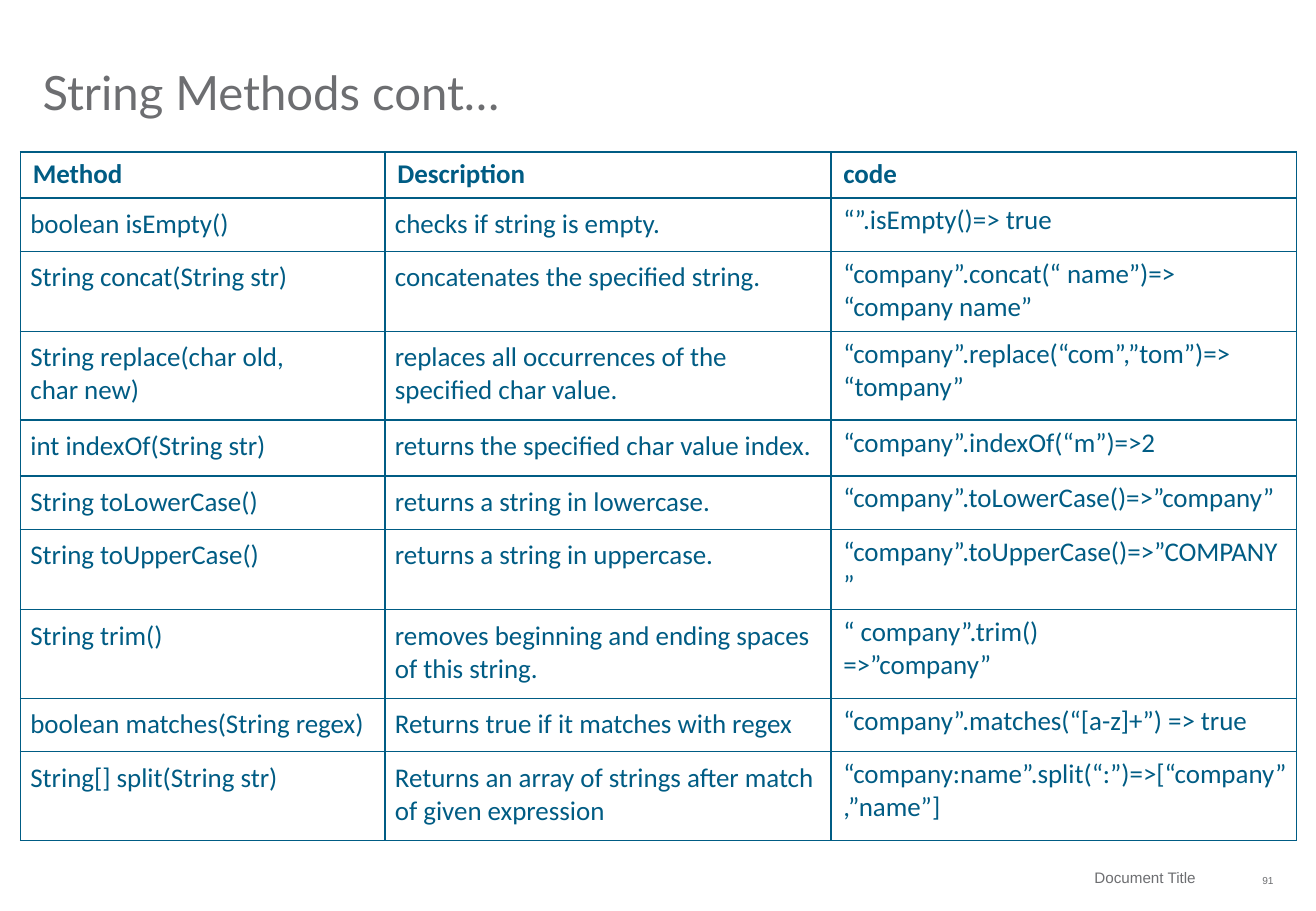
from dataclasses import dataclass

from lxml import etree
from pptx import Presentation
from pptx.dml.color import RGBColor
from pptx.enum.text import MSO_ANCHOR, PP_ALIGN
from pptx.oxml.ns import qn
from pptx.util import Inches, Pt

LEFT, RIGHT = PP_ALIGN.LEFT, PP_ALIGN.RIGHT
TOP, MIDDLE, BOTTOM = MSO_ANCHOR.TOP, MSO_ANCHOR.MIDDLE, MSO_ANCHOR.BOTTOM


@dataclass(frozen=True)
class Theme:
    grey: str = "6D6E71"
    teal: str = "005C84"
    white: str = "FFFFFF"
    title_font: str = "Lato"
    table_font: str = "Calibri"
    footer_font: str = "Arial"
    title_size: int = 28
    table_size: int = 16
    footer_size: int = 9
    number_size: int = 6
    border_width: int = 1


THEME = Theme()


def write(text_frame, text, font, size, color, bold=False, align=LEFT,
          anchor=TOP, margins=(0, 0, 0, 0), line_spacing=None):
    """Fill a text frame, one paragraph per line; margins are left, top, right, bottom."""
    text_frame.word_wrap = True
    text_frame.vertical_anchor = anchor
    (text_frame.margin_left, text_frame.margin_top,
     text_frame.margin_right, text_frame.margin_bottom) = map(Inches, margins)
    text_frame.text = text
    for paragraph in text_frame.paragraphs:
        paragraph.alignment = align
        paragraph.line_spacing = line_spacing
        paragraph.font.name = font
        paragraph.font.size = Pt(size)
        paragraph.font.bold = bold
        paragraph.font.color.rgb = RGBColor.from_string(color)


def add_borders(cell, color, width):
    """Draw a solid line on all four sides of a table cell."""
    properties = cell._tc.get_or_add_tcPr()
    for side in ("a:lnL", "a:lnR", "a:lnT", "a:lnB"):
        line = etree.SubElement(properties, qn(side), w=str(Pt(width)))
        fill = etree.SubElement(line, qn("a:solidFill"))
        etree.SubElement(fill, qn("a:srgbClr"), val=color)


presentation = Presentation()
presentation.slide_width = Inches(10.83)
presentation.slide_height = Inches(7.5)
slide = presentation.slides.add_slide(presentation.slide_layouts[5])

# Title
title = slide.shapes.title
title.left, title.top = Inches(0.35), Inches(0.22)
title.width, title.height = Inches(10.13), Inches(0.77)
write(title.text_frame, "String Methods cont…", font=THEME.title_font,
      size=THEME.title_size, color=THEME.grey, anchor=BOTTOM, line_spacing=0.9)

# Table of methods
METHODS = [
    ("Method", "Description", "code"),
    ("boolean isEmpty()", "checks if string is empty.", "“”.isEmpty()=> true"),
    ("String concat(String str)", "concatenates the specified string.",
     "“company”.concat(“ name”)=>\n“company name”"),
    ("String replace(char old,\nchar new)",
     "replaces all occurrences of the specified char value.",
     "“company”.replace(“com”,”tom”)=> “tompany”"),
    ("int indexOf(String str)", "returns the specified char value index.",
     "“company”.indexOf(“m”)=>2"),
    ("String toLowerCase()", "returns a string in lowercase.",
     "“company”.toLowerCase()=>”company”"),
    ("String toUpperCase()", "returns a string in uppercase.",
     "“company”.toUpperCase()=>”COMPANY”"),
    ("String trim()", "removes beginning and ending spaces of this string.",
     "“ company”.trim()\n=>”company”"),
    ("boolean matches(String regex)", "Returns true if it matches with regex",
     "“company”.matches(“[a-z]+”) => true"),
    ("String[] split(String str)",
     "Returns an array of strings after match of given expression",
     "“company:name”.split(“:”)=>[“company”,”name”]"),
]
COLUMN_WIDTHS = [3, 3.67, 3.83]
ROW_HEIGHTS = [0.38, 0.44, 0.66, 0.73, 0.46, 0.44, 0.66, 0.73, 0.44, 0.73]
CODE_MARGINS = (0.1, 0.05, 0.1, 0.05)
TEXT_MARGINS = (0.08, 0.08, 0.08, 0.08)

table = slide.shapes.add_table(
    len(ROW_HEIGHTS), len(COLUMN_WIDTHS), Inches(0.17), Inches(1.25),
    Inches(sum(COLUMN_WIDTHS)), Inches(sum(ROW_HEIGHTS))).table
table.horz_banding = False
for column, width in zip(table.columns, COLUMN_WIDTHS):
    column.width = Inches(width)
for row_index, (row, height) in enumerate(zip(table.rows, ROW_HEIGHTS)):
    row.height = Inches(height)
    is_header = row_index == 0
    for column_index, text in enumerate(METHODS[row_index]):
        cell = table.cell(row_index, column_index)
        is_code = column_index == 2
        add_borders(cell, THEME.teal, THEME.border_width)
        cell.fill.solid()
        cell.fill.fore_color.rgb = RGBColor.from_string(THEME.white)
        margins = CODE_MARGINS if is_header or is_code else TEXT_MARGINS
        write(cell.text_frame, text, font=THEME.table_font, size=THEME.table_size,
              color=THEME.teal, bold=is_header)
        (cell.margin_left, cell.margin_top,
         cell.margin_right, cell.margin_bottom) = map(Inches, margins)
        cell.vertical_anchor = TOP

# Footer and page number
FOOTERS = [
    ("Document Title", (6.19, 7.08, 3.8, 0.28), THEME.footer_size, (0, 0, 0.15, 0)),
    ("91", (10.09, 7.08, 0.39, 0.33), THEME.number_size, (0, 0, 0, 0)),
]
for text, position, size, margins in FOOTERS:
    footer = slide.shapes.add_textbox(*map(Inches, position))
    write(footer.text_frame, text, font=THEME.footer_font, size=size,
          color=THEME.grey, align=RIGHT, anchor=MIDDLE, margins=margins)

presentation.save("out.pptx")
